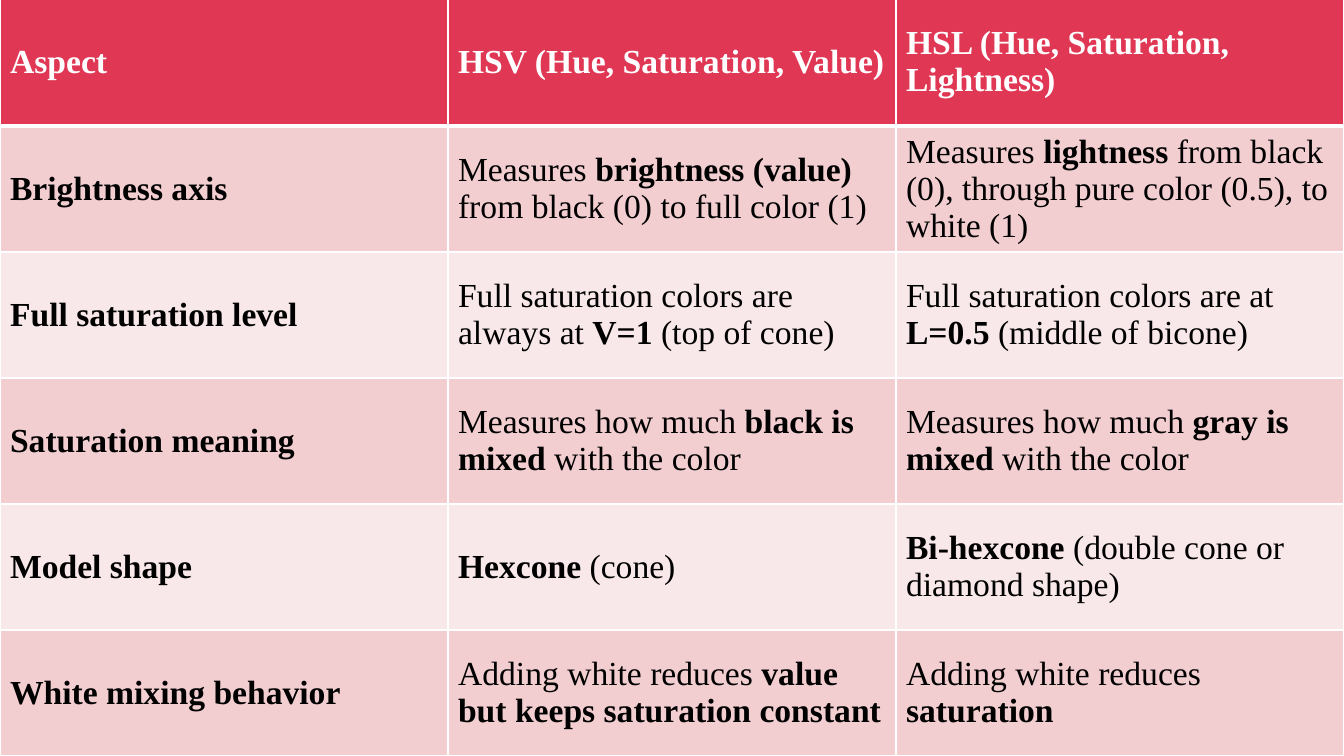
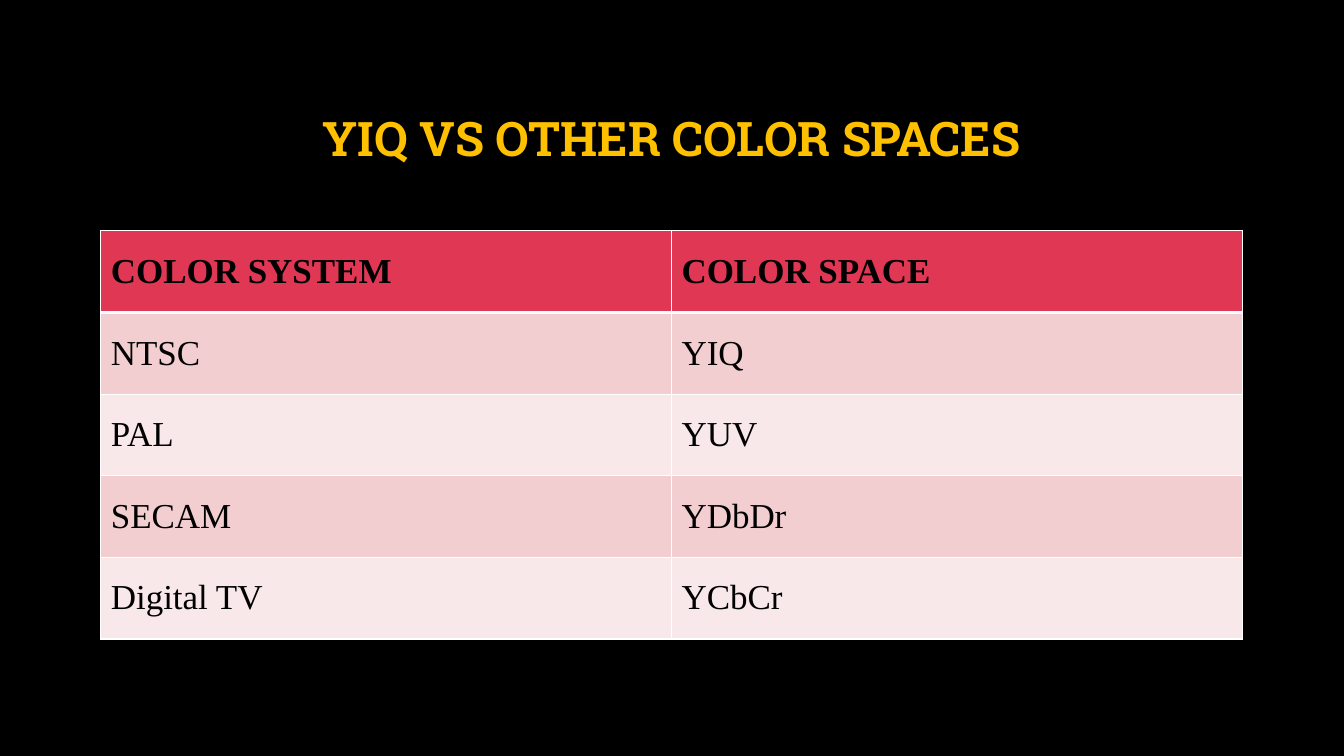
import pptx
import pptx.util
import pptx.dml.color
import pptx.enum.text
import pptx.oxml.ns
import lxml.etree

Inches, Pt = pptx.util.Inches, pptx.util.Pt
MIDDLE = pptx.enum.text.MSO_ANCHOR.MIDDLE

COLORS = {
    "background": "000000",
    "title": "FFC000",
    "header": "E03754",
    "odd_row": "F3CED1",
    "even_row": "F9E8E9",
    "border": "FFFFFF",
    "dark_text": "000000",
    "light_text": "FFFFFF",
}
TITLE_FONT, TABLE_FONT = "Roboto Slab", "Times New Roman"
THIN, THICK = 1, 3

# Text between double asterisks is bold.
HSV_HSL = [
    ("**Aspect**", "**HSV (Hue, Saturation, Value)**",
     "**HSL (Hue, Saturation, Lightness)**"),
    ("**Brightness axis**",
     "Measures **brightness (value)** from black (0) to full color (1)",
     "Measures **lightness** from black (0), through pure color (0.5), to white (1)"),
    ("**Full saturation level**",
     "Full saturation colors are always at **V=1** (top of cone)",
     "Full saturation colors are at **L=0.5** (middle of bicone)"),
    ("**Saturation meaning**",
     "Measures how much **black is mixed** with the color",
     "Measures how much **gray is mixed** with the color"),
    ("**Model shape**", "**Hexcone** (cone)",
     "**Bi-hexcone** (double cone or diamond shape)"),
    ("**White mixing behavior**",
     "Adding white reduces **value but keeps saturation constant**",
     "Adding white reduces **saturation**"),
]
YIQ_TITLE = "YIQ VS OTHER COLOR SPACES"
COLOR_SYSTEMS = [
    ("**COLOR SYSTEM**", "**COLOR SPACE**"),
    ("NTSC", "YIQ"),
    ("PAL", "YUV"),
    ("SECAM", "YDbDr"),
    ("Digital TV", "YCbCr"),
]


def rgb(name):
    return pptx.dml.color.RGBColor.from_string(COLORS[name])


def add_slide(prs):
    s = prs.slides.add_slide(prs.slide_layouts[6])
    s.background.fill.solid()
    s.background.fill.fore_color.rgb = rgb("background")
    return s


def add_run(p, text, font, size, color, bold):
    r = p.add_run()
    r.text = text
    r.font.name, r.font.size, r.font.bold = font, Pt(size), bold
    r.font.color.rgb = rgb(color)


def add_title(s, text, left, top, width, height):
    sp = s.shapes.add_textbox(*map(Inches, (left, top, width, height)))
    tf = sp.text_frame
    tf.word_wrap = True
    tf.vertical_anchor = MIDDLE
    p = tf.paragraphs[0]
    p.alignment = pptx.enum.text.PP_ALIGN.CENTER
    p.line_spacing = 0.9
    add_run(p, text, TITLE_FONT, 34, "title", True)


def set_borders(cell, top, bottom):
    """Draw the four cell borders; call before setting the cell fill."""
    qn = pptx.oxml.ns.qn
    tcPr = cell._tc.get_or_add_tcPr()
    for side, width in (("L", THIN), ("R", THIN), ("T", top), ("B", bottom)):
        ln = lxml.etree.SubElement(tcPr, qn(f"a:ln{side}"), w=str(Pt(width)))
        fill = lxml.etree.SubElement(ln, qn("a:solidFill"))
        lxml.etree.SubElement(fill, qn("a:srgbClr"), val=COLORS["border"])


def add_table(s, rows, left, top, col_width, row_heights, size, header_text):
    n_rows, n_cols = len(rows), len(rows[0])
    table = s.shapes.add_table(
        n_rows, n_cols, Inches(left), Inches(top),
        Inches(col_width * n_cols), Inches(sum(row_heights))).table
    for column in table.columns:
        column.width = Inches(col_width)
    for i, (row, height) in enumerate(zip(rows, row_heights)):
        table.rows[i].height = Inches(height)
        band = "header" if i == 0 else "odd_row" if i % 2 else "even_row"
        color = header_text if i == 0 else "dark_text"
        for j, text in enumerate(row):
            cell = table.cell(i, j)
            set_borders(cell, THICK if i == 1 else THIN, THICK if i == 0 else THIN)
            cell.fill.solid()
            cell.fill.fore_color.rgb = rgb(band)
            cell.vertical_anchor = MIDDLE
            p = cell.text_frame.paragraphs[0]
            for k, part in enumerate(text.split("**")):
                if part:
                    add_run(p, part, TABLE_FONT, size, color, k % 2 == 1)


def main():
    prs = pptx.Presentation()
    prs.slide_width, prs.slide_height = Inches(13.33), Inches(7.5)

    s = add_slide(prs)
    add_table(s, HSV_HSL, 0, -0.02, 13.33 / 3, [1.27] + [1.25] * 5, 24, "light_text")

    s = add_slide(prs)
    add_title(s, YIQ_TITLE, 1, 0.67, 11.32, 1.45)
    add_table(s, COLOR_SYSTEMS, 1, 2.29, 5.66, [0.81] * 5, 25, "dark_text")

    prs.save("out.pptx")


if __name__ == "__main__":
    main()
